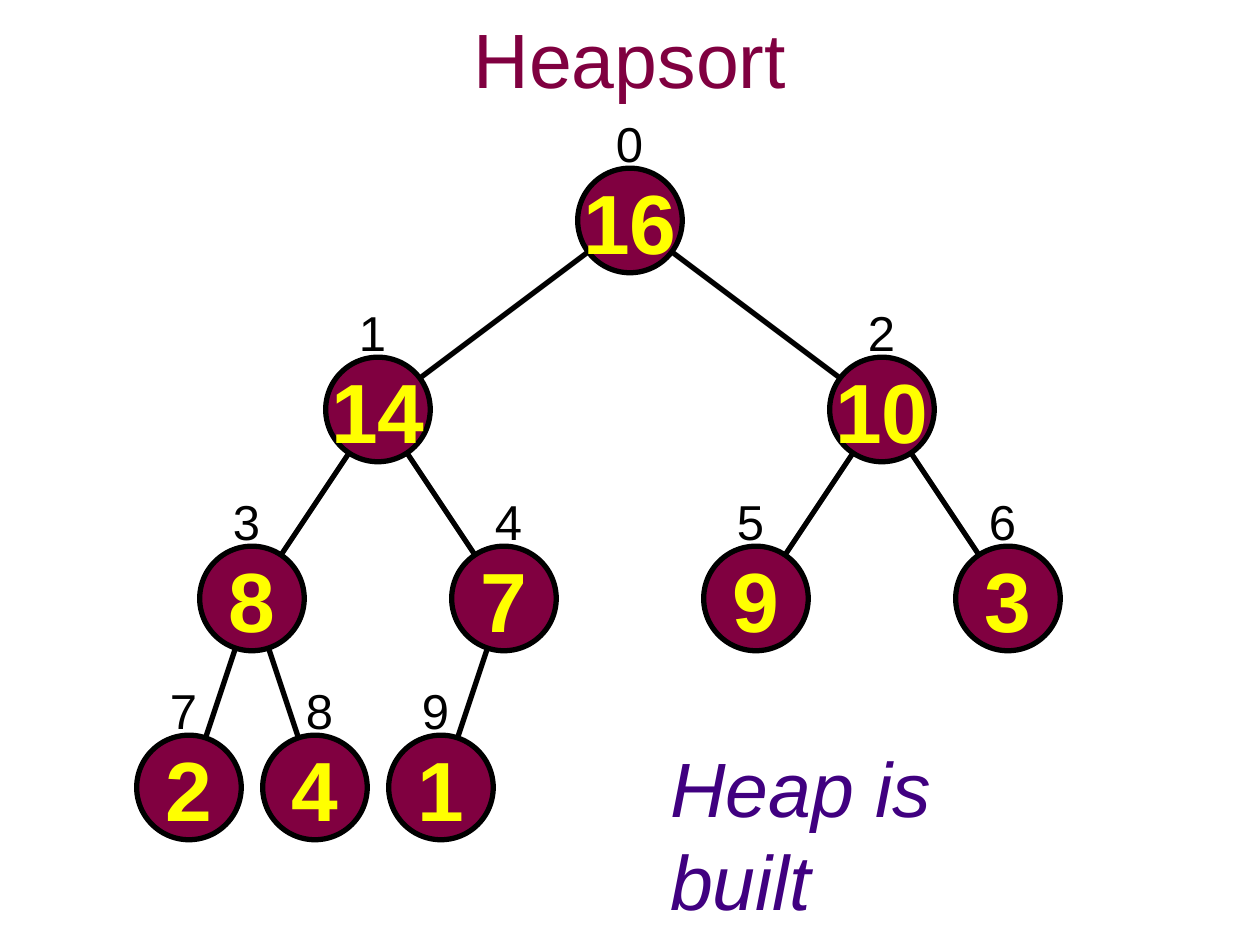
from lxml.etree import SubElement
from pptx import Presentation
from pptx.dml.color import RGBColor
from pptx.enum.shapes import MSO_CONNECTOR, MSO_SHAPE
from pptx.enum.text import MSO_ANCHOR, MSO_AUTO_SIZE, PP_ALIGN
from pptx.oxml.ns import qn
from pptx.util import Inches, Pt

BLACK = RGBColor(0x00, 0x00, 0x00)
WINE = RGBColor(0x80, 0x00, 0x40)
YELLOW = RGBColor(0xFF, 0xFF, 0x00)
PURPLE = RGBColor(0x40, 0x00, 0x80)
FONT = "Arial"

HEAP = [16, 14, 10, 8, 7, 9, 3, 2, 4, 1]
NODE = 0.83
LEFT, SPAN = 1, 8
TOP, STEP = 1.75, 1.5
# Horizontal shift of each index label from its node's centre line
SHIFT = [0, -0.04, 0, -0.04, 0.04, -0.04, -0.04, -0.04, 0.04, -0.04]


def centre(i):
    """Centre of heap node i: each level splits the span into equal cells."""
    level = (i + 1).bit_length() - 1
    cells = 2 ** level
    x = LEFT + SPAN * (i + 1 - cells + 0.5) / cells
    return x, TOP + STEP * level


def add_run(shape, text, size, color, bold=False, italic=False):
    run = shape.text_frame.paragraphs[0].add_run()
    run.text = text
    font = run.font
    font.name, font.size = FONT, Pt(size)
    font.bold, font.italic = bold, italic
    font.color.rgb = color


def add_label(slide, box, text, size, color, italic=False):
    """Add a one-line text box that fits its text."""
    label = slide.shapes.add_textbox(*map(Inches, box))
    label.text_frame.word_wrap = False
    label.text_frame.auto_size = MSO_AUTO_SIZE.SHAPE_TO_FIT_TEXT
    add_run(label, text, size, color, italic=italic)


def add_title(slide, text):
    title = slide.shapes.add_textbox(
        Inches(0.75), Inches(0.08), Inches(8.5), Inches(0.75))
    frame = title.text_frame
    frame.word_wrap = True
    frame.vertical_anchor = MSO_ANCHOR.MIDDLE
    frame.paragraphs[0].alignment = PP_ALIGN.CENTER
    add_run(title, text, 44, WINE)


def add_edge(slide, start, end):
    edge = slide.shapes.add_connector(
        MSO_CONNECTOR.STRAIGHT, *map(Inches, start + end))
    edge.line.color.rgb = BLACK
    edge.line.width = Pt(3)
    SubElement(edge._element.spPr, qn("a:effectLst"))


def add_node(slide, x, y, value):
    node = slide.shapes.add_shape(
        MSO_SHAPE.OVAL, Inches(x - NODE / 2), Inches(y - NODE / 2),
        Inches(NODE), Inches(NODE))
    node.shadow.inherit = False
    node.fill.solid()
    node.fill.fore_color.rgb = WINE
    node.line.color.rgb = BLACK
    node.line.width = Pt(3)
    frame = node.text_frame
    frame.word_wrap = False
    frame.vertical_anchor = MSO_ANCHOR.MIDDLE
    frame.paragraphs[0].alignment = PP_ALIGN.CENTER
    add_run(node, str(value), 48, YELLOW, bold=True)


def add_heap(slide):
    for i in range(1, len(HEAP)):
        add_edge(slide, centre((i - 1) // 2), centre(i))
    for i, value in enumerate(HEAP):
        x, y = centre(i)
        add_node(slide, x, y, value)
        box = (x - 0.21 + SHIFT[i], y - 0.9, 0.41, 0.57)
        add_label(slide, box, str(i), 28, BLACK)


def main():
    deck = Presentation()
    deck.slide_width, deck.slide_height = Inches(10), Inches(7.5)
    slide = deck.slides.add_slide(deck.slide_layouts[6])
    add_title(slide, "Heapsort")
    add_heap(slide)
    add_label(slide, (5.22, 5.83, 3.56, 0.84), "Heap is built", 44, PURPLE,
              italic=True)
    deck.save("out.pptx")


if __name__ == "__main__":
    main()
